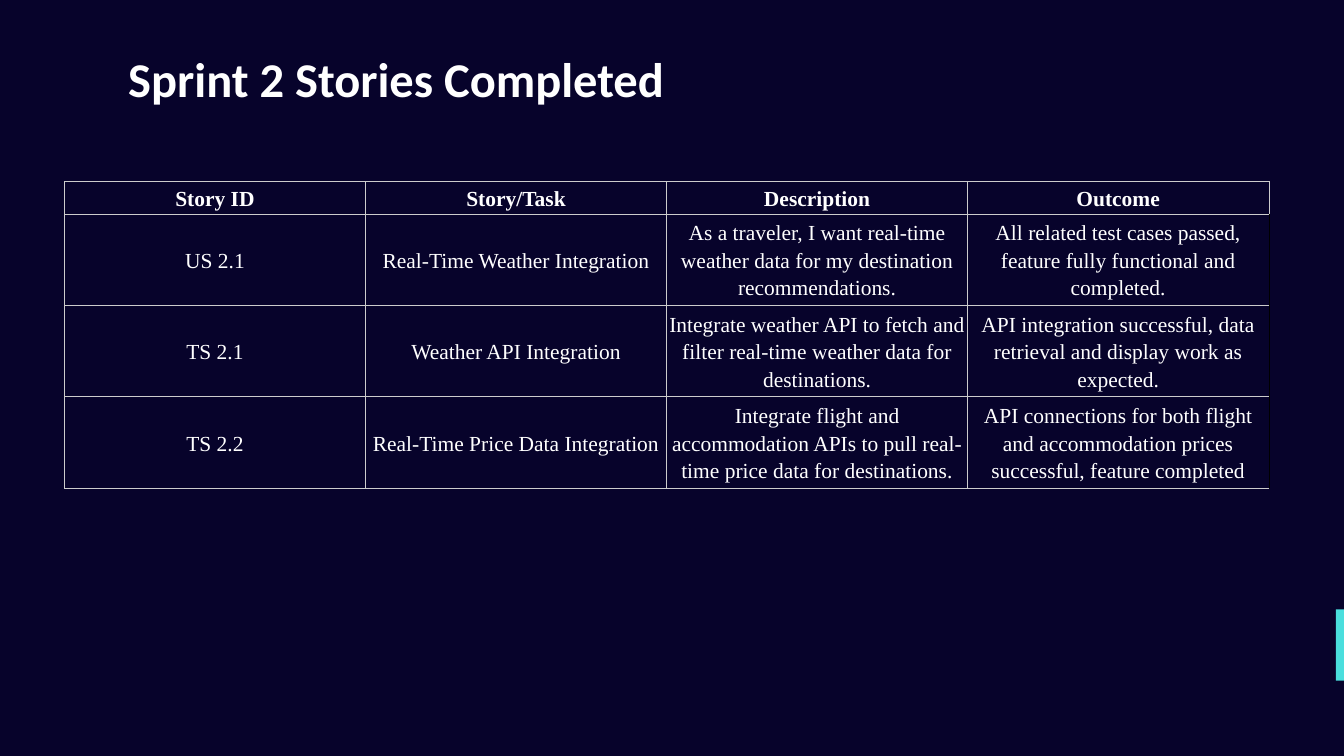
from lxml import etree
from pptx import Presentation
from pptx.dml.color import RGBColor
from pptx.enum import shapes, text
from pptx.oxml import ns
from pptx.util import Inches, Pt

TITLE = "Sprint 2 Stories Completed"
STORIES = [
    ("Story ID", "Story/Task", "Description", "Outcome"),
    ("US 2.1", "Real-Time Weather Integration",
     "As a traveler, I want real-time weather data for my destination recommendations.",
     "All related test cases passed, feature fully functional and completed."),
    ("TS 2.1", "Weather API Integration",
     "Integrate weather API to fetch and filter real-time weather data for destinations.",
     "API integration successful, data retrieval and display work as expected."),
    ("TS 2.2", "Real-Time Price Data Integration",
     "Integrate flight and accommodation APIs to pull real-time price data for destinations.",
     "API connections for both flight and accommodation prices successful, feature completed"),
]
COLORS = {"background": "07032B", "accent": "4ADEDD", "text": "FFFFFF",
          "grid": "CCCCCC", "outcome edge": "000000"}
COLUMN_WIDTH, ROW_HEIGHT = 4.48, 0.42
GRID_POINTS = 0.42


def color(name):
    return RGBColor.from_string(COLORS[name])


def write(frame, words, font, size, bold=False, align=None, spacing=None):
    frame.word_wrap = True
    paragraph = frame.paragraphs[0]
    paragraph.alignment = align
    paragraph.line_spacing = spacing
    run = paragraph.add_run()
    run.text = words
    run.font.name, run.font.size, run.font.bold = font, Pt(size), bold
    run.font.color.rgb = color("text")


def set_margins(target, across, down):
    target.margin_left = target.margin_right = Inches(across)
    target.margin_top = target.margin_bottom = Inches(down)


def add_borders(cell, right):
    properties = cell._tc.get_or_add_tcPr()
    for side in "LRTB":
        line = etree.SubElement(properties, ns.qn(f"a:ln{side}"), w=str(Pt(GRID_POINTS)))
        fill = etree.SubElement(line, ns.qn("a:solidFill"))
        etree.SubElement(fill, ns.qn("a:srgbClr"),
                         val=COLORS[right if side == "R" else "grid"])


def add_stories(slide):
    rows, columns = len(STORIES), len(STORIES[0])
    table = slide.shapes.add_table(
        rows, columns, Inches(0.96), Inches(2.7),
        Inches(columns * COLUMN_WIDTH), Inches(rows * ROW_HEIGHT)).table
    table.first_row = table.horz_banding = False
    for column in table.columns:
        column.width = Inches(COLUMN_WIDTH)
    for r, story in enumerate(STORIES):
        table.rows[r].height = Inches(ROW_HEIGHT)
        for c, words in enumerate(story):
            cell = table.cell(r, c)
            is_outcome = r > 0 and c == columns - 1
            add_borders(cell, right="outcome edge" if is_outcome else "grid")
            cell.fill.background()
            set_margins(cell, 0.1 if is_outcome else 0.03, 0.02)
            cell.vertical_anchor = text.MSO_ANCHOR.MIDDLE
            write(cell.text_frame, words, "Times New Roman", 23, bold=r == 0,
                  align=text.PP_ALIGN.CENTER, spacing=1.15)


def main():
    deck = Presentation()
    deck.slide_width, deck.slide_height = Inches(20), Inches(11.25)
    slide = deck.slides.add_slide(deck.slide_layouts[6])
    slide.background.fill.solid()
    slide.background.fill.fore_color.rgb = color("background")

    accent = slide.shapes.add_shape(shapes.MSO_SHAPE.RECTANGLE, Inches(19.88),
                                    Inches(9.07), Inches(0.12), Inches(1.06))
    accent.shadow.inherit = False
    accent.fill.solid()
    accent.fill.fore_color.rgb = color("accent")
    accent.line.fill.background()

    title = slide.shapes.add_textbox(Inches(1.81), Inches(0.63), Inches(10.38), Inches(1.37))
    set_margins(title.text_frame, 0.1, 0.1)
    write(title.text_frame, TITLE, "Calibri", 52, bold=True)

    add_stories(slide)
    deck.save("out.pptx")


if __name__ == "__main__":
    main()
